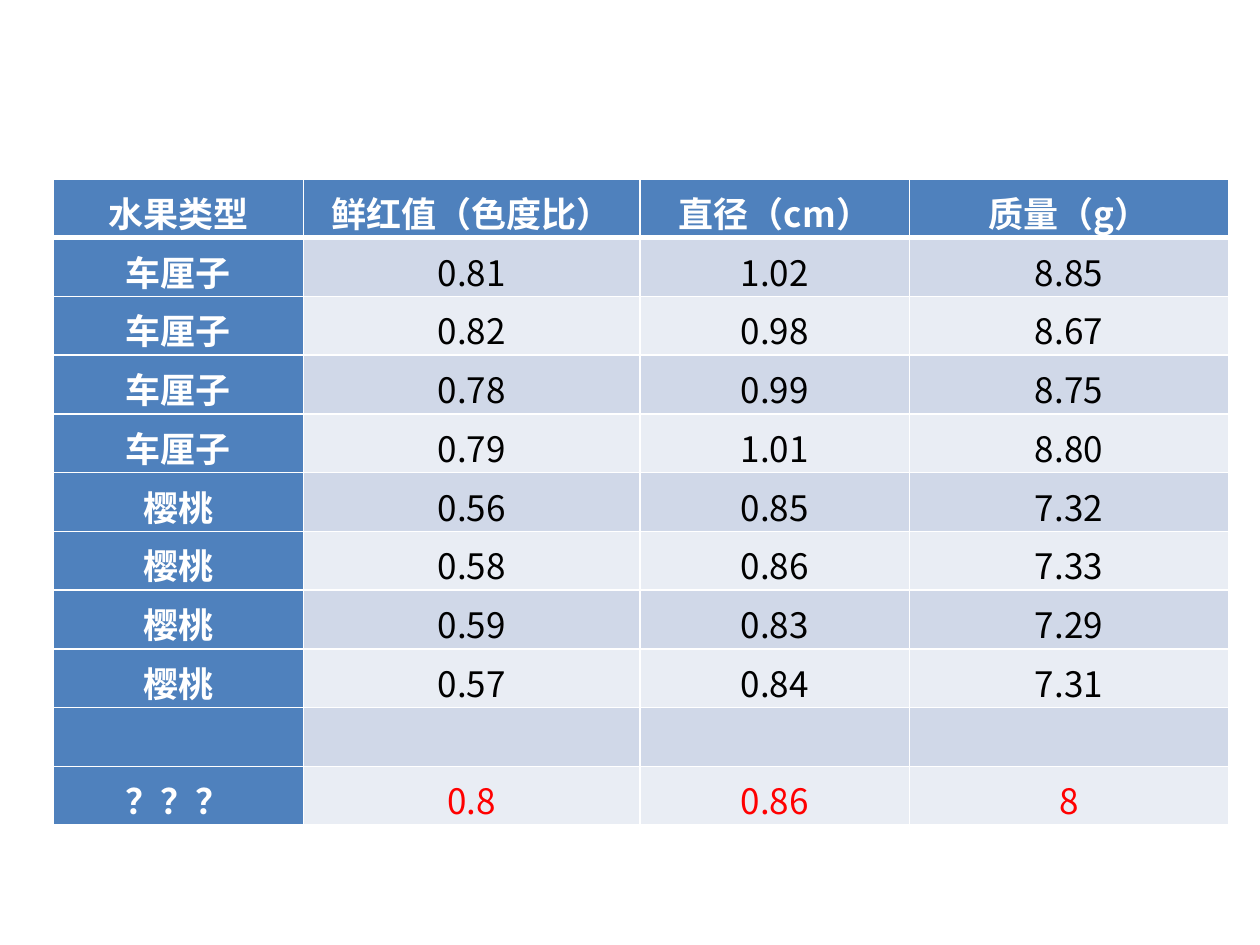
from dataclasses import dataclass

from lxml.etree import SubElement
from pptx import Presentation
from pptx.dml.color import RGBColor
from pptx.enum.text import MSO_ANCHOR, PP_ALIGN
from pptx.oxml import parse_xml
from pptx.oxml.ns import nsdecls, qn
from pptx.table import _Cell
from pptx.util import Inches, Pt

COLORS = {
    "header": "4F81BD",
    "odd_band": "D0D8E8",
    "even_band": "E9EDF4",
    "rule": "FFFFFF",
    "label": "FFFFFF",
    "value": "000000",
    "unknown": "FF0000",
}
FONT = "Noto Sans CJK SC"
COLUMN_WIDTHS = (1.99, 2.67, 2.14, 2.53)
TABLE_HEIGHT = 5.13


@dataclass(frozen=True)
class Fruit:
    kind: str = ""
    redness: str = ""
    diameter: str = ""
    mass: str = ""
    value_color: str = "value"

    def texts(self) -> tuple[str, ...]:
        return self.kind, self.redness, self.diameter, self.mass


FRUITS = (
    Fruit("水果类型", "鲜红值（色度比）", "直径（cm）", "质量（g）", "label"),
    Fruit("车厘子", "0.81", "1.02", "8.85"),
    Fruit("车厘子", "0.82", "0.98", "8.67"),
    Fruit("车厘子", "0.78", "0.99", "8.75"),
    Fruit("车厘子", "0.79", "1.01", "8.80"),
    Fruit("樱桃", "0.56", "0.85", "7.32"),
    Fruit("樱桃", "0.58", "0.86", "7.33"),
    Fruit("樱桃", "0.59", "0.83", "7.29"),
    Fruit("樱桃", "0.57", "0.84", "7.31"),
    Fruit(),
    Fruit("？？？", "0.8", "0.86", "8", "unknown"),
)


def set_borders(cell: _Cell, top: float, bottom: float) -> None:
    properties = cell._tc.get_or_add_tcPr()
    widths = {"lnL": 1, "lnR": 1, "lnT": top, "lnB": bottom}
    for position, (side, width) in enumerate(widths.items()):
        border = parse_xml(
            f'<a:{side} {nsdecls("a")} w="{Pt(width)}"><a:solidFill>'
            f'<a:srgbClr val="{COLORS["rule"]}"/></a:solidFill></a:{side}>'
        )
        properties.insert(position, border)


def write_cell(cell: _Cell, text: str, color: str, bold: bool) -> None:
    cell.vertical_anchor = MSO_ANCHOR.MIDDLE
    cell.margin_left = cell.margin_right = Inches(0.07)
    cell.margin_top = cell.margin_bottom = 0
    paragraph = cell.text_frame.paragraphs[0]
    paragraph.text = text
    paragraph.alignment = PP_ALIGN.CENTER
    paragraph.line_spacing = 1.15
    font = paragraph.font
    font.name = FONT
    font.size = Pt(20)
    font.bold = bold
    font.color.rgb = RGBColor.from_string(COLORS[color])
    defaults = paragraph._p.pPr.find(qn("a:defRPr"))
    SubElement(defaults, qn("a:ea")).set("typeface", FONT)


def fill_cell(cell: _Cell, color: str) -> None:
    cell.fill.solid()
    cell.fill.fore_color.rgb = RGBColor.from_string(COLORS[color])


def main() -> None:
    presentation = Presentation()
    presentation.slide_width = Inches(10)
    presentation.slide_height = Inches(7.5)
    slide = presentation.slides.add_slide(presentation.slide_layouts[6])
    measurements = slide.shapes.add_table(
        len(FRUITS), len(COLUMN_WIDTHS),
        Inches(0.42), Inches(1.42), Inches(sum(COLUMN_WIDTHS)), Inches(TABLE_HEIGHT),
    ).table
    measurements.first_col = True
    for column, width in zip(measurements.columns, COLUMN_WIDTHS):
        column.width = Inches(width)

    for row, fruit in enumerate(FRUITS):
        measurements.rows[row].height = Inches(TABLE_HEIGHT / len(FRUITS))
        band = "odd_band" if row % 2 else "even_band"
        for column, text in enumerate(fruit.texts()):
            cell = measurements.cell(row, column)
            heading = row == 0 or column == 0
            fill_cell(cell, "header" if heading else band)
            set_borders(cell, top=3 if row == 1 else 1, bottom=3 if row == 0 else 1)
            write_cell(cell, text, "label" if heading else fruit.value_color, heading)

    presentation.save("out.pptx")


if __name__ == "__main__":
    main()
